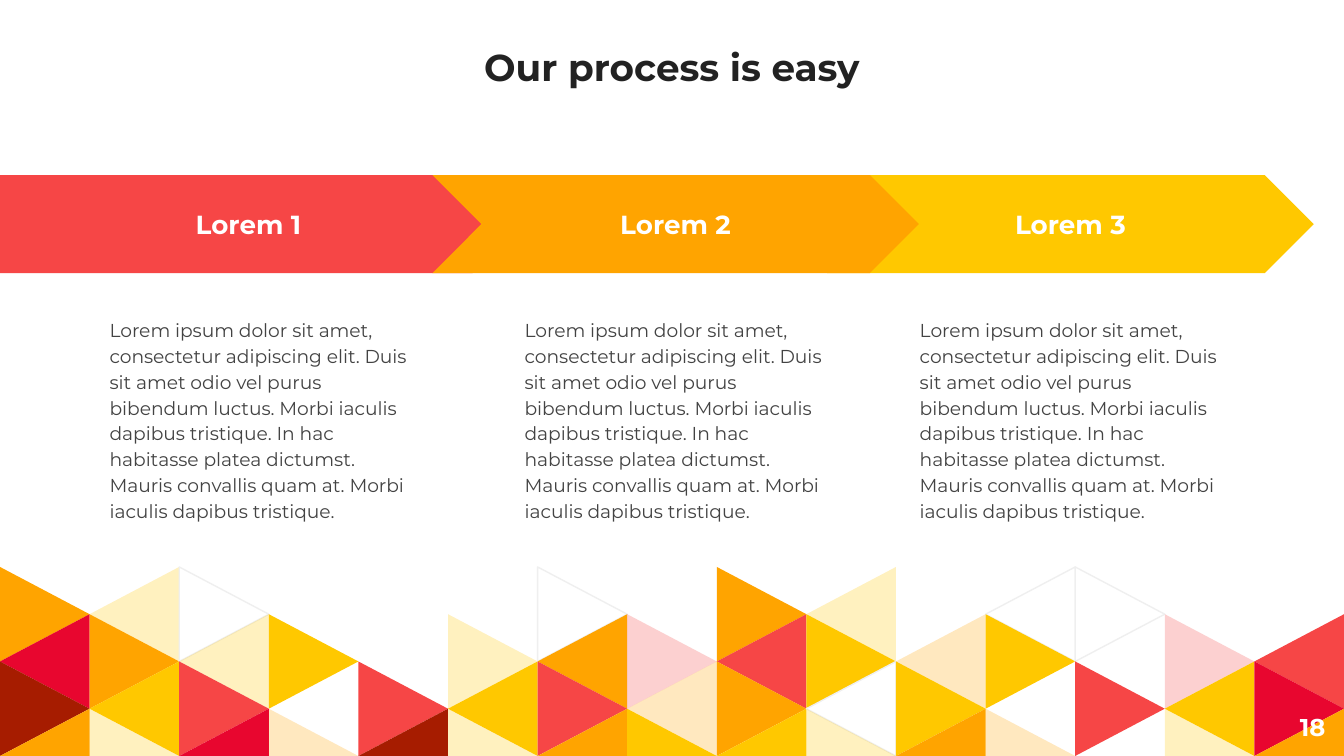
from dataclasses import dataclass

from lxml import etree
from pptx import Presentation
from pptx.dml.color import RGBColor
from pptx.enum.shapes import MSO_SHAPE
from pptx.enum.text import MSO_ANCHOR, PP_ALIGN
from pptx.oxml.ns import qn
from pptx.util import Inches, Pt

CHEVRON, PENTAGON = MSO_SHAPE.CHEVRON, MSO_SHAPE.PENTAGON
LEFT, CENTER, RIGHT = PP_ALIGN.LEFT, PP_ALIGN.CENTER, PP_ALIGN.RIGHT
TOP, MIDDLE, BOTTOM = MSO_ANCHOR.TOP, MSO_ANCHOR.MIDDLE, MSO_ANCHOR.BOTTOM

FONT = "Montserrat"
SLIDE_WIDTH = Inches(10)
SLIDE_HEIGHT = SLIDE_WIDTH * 9 // 16
COLORS = {
    "title": "222222",
    "body": "434343",
    "white": "FFFFFF",
    "outline": "EFEFEF",
    "orange": "FFA400",
    "yellow": "FFC800",
    "red": "F64646",
    "crimson": "E8062F",
    "brown": "A61C00",
}

MOSAIC_COLUMNS = 15
MOSAIC_ROWS = 4
ROW_HEIGHT = SLIDE_HEIGHT // 16
MOSAIC_TOP = SLIDE_HEIGHT - MOSAIC_ROWS * ROW_HEIGHT
TINT_PERCENT = 25
MOSAIC = (
    "OCBO yOYy WyRC .Y.o ..RB .yYy WORO .roY "
    "OROY yYWy .oYO WY.o W.R. .rYy .RCO"
).split()
MOSAIC_FILLS = {
    "O": "orange", "Y": "yellow", "R": "red",
    "C": "crimson", "B": "brown", "W": "white",
}

BODY_TEXT = (
    "Lorem ipsum dolor sit amet, consectetur adipiscing elit. Duis sit amet odio "
    "vel purus bibendum luctus. Morbi iaculis dapibus tristique. In hac habitasse "
    "platea dictumst. Mauris convallis quam at. Morbi iaculis dapibus tristique."
)


@dataclass(frozen=True)
class Box:
    left: float
    top: float
    width: float
    height: float

    def lengths(self) -> tuple[int, int, int, int]:
        return (
            round(SLIDE_WIDTH * self.left / 100),
            round(SLIDE_HEIGHT * self.top / 100),
            round(SLIDE_WIDTH * self.width / 100),
            round(SLIDE_HEIGHT * self.height / 100),
        )


@dataclass(frozen=True)
class Step:
    label: str
    color: str
    outline: int
    arrow_left: float
    arrow_width: float
    body_left: float


TITLE_BOX = Box(0, 0, 100, 13.5)
NUMBER_BOX = Box(93.6, 92.3, 6, 7.65)
ARROW_TOP, ARROW_HEIGHT = 23.15, 12.98
BODY_TOP, BODY_WIDTH, BODY_HEIGHT = 40, 24.5, 50.84
STEPS = (
    Step("Lorem 3", "yellow", CHEVRON, 61.55, 36.2, 67.45),
    Step("Lorem 1", "red", PENTAGON, 0, 38.8, 7.17),
    Step("Lorem 2", "orange", CHEVRON, 32.17, 36.2, 38.05),
)


def rgb(name: str) -> RGBColor:
    return RGBColor.from_string(COLORS[name])


def fill_shape(shape, color: str, tinted: bool = False, outlined: bool = False) -> None:
    shape.shadow.inherit = False
    shape.fill.solid()
    shape.fill.fore_color.rgb = rgb(color)
    if tinted:
        color_element = next(shape.element.spPr.iter(qn("a:srgbClr")))
        etree.SubElement(color_element, qn("a:alpha"), val=str(TINT_PERCENT * 1000))
    if outlined:
        shape.line.color.rgb = rgb("outline")
        shape.line.width = Pt(0.75)
    else:
        shape.line.fill.background()


def write_text(shape, text: str, *, size: float, color: str, bold: bool = False,
               align: int = LEFT, anchor: int = TOP, spacing: float = 1.0) -> None:
    frame = shape.text_frame
    frame.word_wrap = True
    frame.vertical_anchor = anchor
    frame.margin_left = frame.margin_right = Inches(0.1)
    frame.margin_top = frame.margin_bottom = Inches(0.1)
    paragraph = frame.paragraphs[0]
    paragraph.alignment = align
    paragraph.line_spacing = spacing
    run = paragraph.add_run()
    run.text = text
    run.font.name = FONT
    run.font.size = Pt(size)
    run.font.bold = bold
    run.font.color.rgb = rgb(color)


def draw_triangle(slide, column: int, row: int, code: str) -> None:
    left = SLIDE_WIDTH * column // MOSAIC_COLUMNS
    right = SLIDE_WIDTH * (column + 1) // MOSAIC_COLUMNS
    top = MOSAIC_TOP + row * ROW_HEIGHT
    middle = top + ROW_HEIGHT
    bottom = min(middle + ROW_HEIGHT, SLIDE_HEIGHT)
    points_right = (column + row) % 2 == 0
    base, tip = (left, right) if points_right else (right, left)
    builder = slide.shapes.build_freeform(base, top)
    builder.add_line_segments([(tip, middle), (base, bottom)], close=True)
    fill_shape(builder.convert_to_shape(), MOSAIC_FILLS[code.upper()],
               tinted=code.islower(), outlined=code == "W")


def draw_mosaic(slide) -> None:
    for column, codes in enumerate(MOSAIC):
        for row, code in enumerate(codes):
            if code != ".":
                draw_triangle(slide, column, row, code)


def draw_title(slide, text: str) -> None:
    title = slide.shapes.title
    title.left, title.top, title.width, title.height = TITLE_BOX.lengths()
    write_text(title, text, size=20, color="title", bold=True,
               align=CENTER, anchor=BOTTOM)


def draw_step(slide, step: Step) -> None:
    arrow_box = Box(step.arrow_left, ARROW_TOP, step.arrow_width, ARROW_HEIGHT)
    arrow = slide.shapes.add_shape(step.outline, *arrow_box.lengths())
    arrow.adjustments[0] = 0.5
    fill_shape(arrow, step.color)
    write_text(arrow, step.label, size=14, color="white", bold=True,
               align=CENTER, anchor=MIDDLE)
    body_box = Box(step.body_left, BODY_TOP, BODY_WIDTH, BODY_HEIGHT)
    body = slide.shapes.add_textbox(*body_box.lengths())
    write_text(body, BODY_TEXT, size=10, color="body", spacing=1.15)


def main() -> None:
    presentation = Presentation()
    presentation.slide_width = SLIDE_WIDTH
    presentation.slide_height = SLIDE_HEIGHT
    slide = presentation.slides.add_slide(presentation.slide_layouts[5])
    draw_mosaic(slide)
    draw_title(slide, "Our process is easy")
    number = slide.shapes.add_textbox(*NUMBER_BOX.lengths())
    write_text(number, "18", size=13, color="white", bold=True,
               align=RIGHT, anchor=MIDDLE)
    for step in STEPS:
        draw_step(slide, step)
    presentation.save("out.pptx")


if __name__ == "__main__":
    main()
